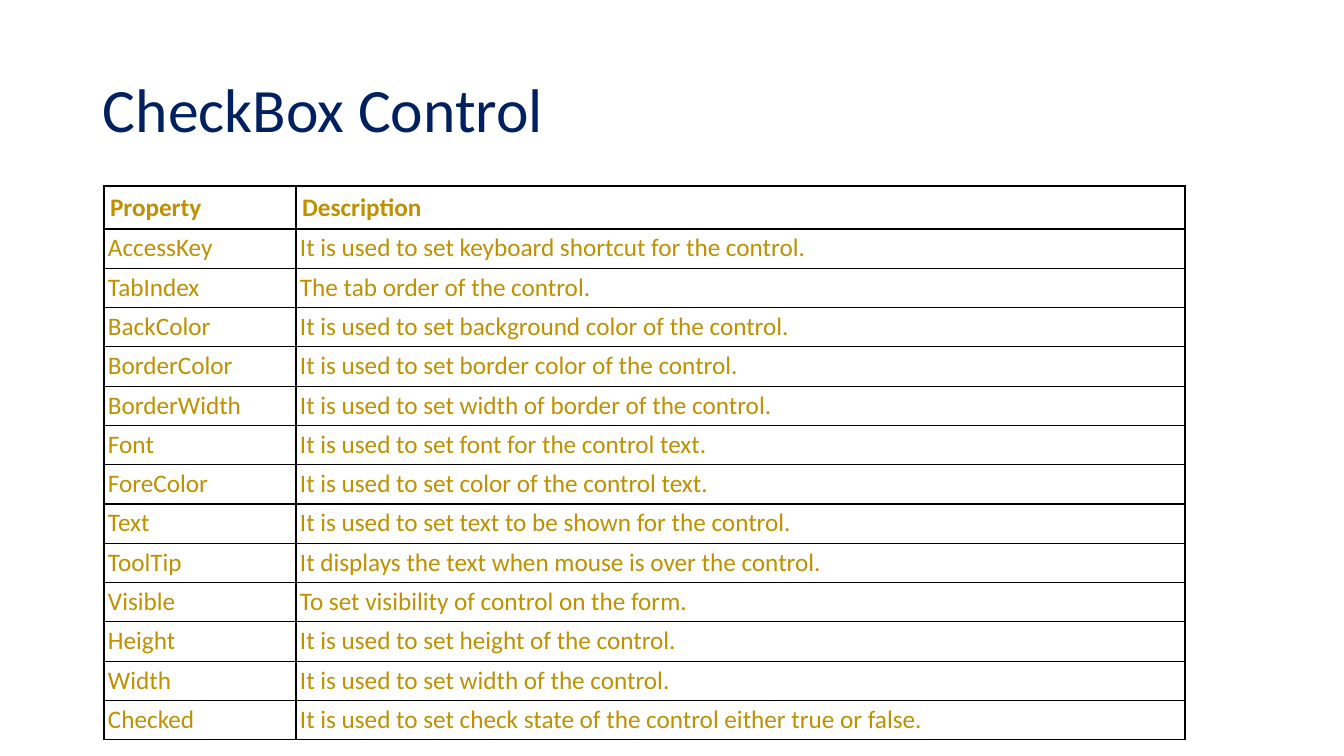
from lxml.etree import SubElement
from pptx import Presentation
from pptx.dml.color import RGBColor
from pptx.enum.text import MSO_ANCHOR, PP_ALIGN
from pptx.oxml.ns import qn
from pptx.util import Pt

# Content
TITLE = "CheckBox Control"
HEADER = ("Property", "Description")
PROPERTIES = [
    ("AccessKey", "It is used to set keyboard shortcut for the control."),
    ("TabIndex", "The tab order of the control."),
    ("BackColor", "It is used to set background color of the control."),
    ("BorderColor", "It is used to set border color of the control."),
    ("BorderWidth", "It is used to set width of border of the control."),
    ("Font", "It is used to set font for the control text."),
    ("ForeColor", "It is used to set color of the control text."),
    ("Text", "It is used to set text to be shown for the control."),
    ("ToolTip", "It displays the text when mouse is over the control."),
    ("Visible", "To set visibility of control on the form."),
    ("Height", "It is used to set height of the control."),
    ("Width", "It is used to set width of the control."),
    ("Checked", "It is used to set check state of the control either true or false."),
]

# Style and layout, in px
COLORS = {"title": "002060", "text": "BF9000", "border": "000000"}
FONT = "Calibri"
SLIDE_SIZE = (1344, 756)
TITLE_BOX = (93, 40, 1159, 146)
TABLE_LEFT, TABLE_TOP = 104, 186
COLUMN_WIDTHS = (192, 889)
HEADER_HEIGHT, BODY_HEIGHT = 43, 511
HEADER_INSET, BODY_INSET = 6, 4
EMU_PER_PX = 914400 / 100.8


def px(length):
    return round(length * EMU_PER_PX)


def style_text(para, size, color, bold=False):
    for span in para.runs:
        span.font.name = FONT
        span.font.size = Pt(size)
        span.font.bold = bold
        span.font.color.rgb = RGBColor.from_string(COLORS[color])


def add_borders(cell):
    properties = cell._tc.get_or_add_tcPr()
    for index, side in enumerate(("a:lnL", "a:lnR", "a:lnT", "a:lnB")):
        line = SubElement(properties, qn(side), w=str(Pt(1)))
        fill = SubElement(line, qn("a:solidFill"))
        SubElement(fill, qn("a:srgbClr"), val=COLORS["border"])
        properties.remove(line)
        properties.insert(index, line)


def fill_cell(cell, text, is_header):
    inset = px(HEADER_INSET if is_header else BODY_INSET)
    cell.margin_left = cell.margin_right = inset
    cell.margin_top = cell.margin_bottom = inset
    cell.text_frame.text = text
    para = cell.text_frame.paragraphs[0]
    para.alignment = PP_ALIGN.LEFT if is_header else PP_ALIGN.JUSTIFY
    style_text(para, 18, "text", bold=is_header)
    cell.fill.background()
    add_borders(cell)


def add_title(page):
    box = page.shapes.add_textbox(*map(px, TITLE_BOX))
    frame = box.text_frame
    frame.word_wrap = True
    frame.vertical_anchor = MSO_ANCHOR.MIDDLE
    frame.text = TITLE
    frame.paragraphs[0].line_spacing = 0.9
    style_text(frame.paragraphs[0], 44, "title")


def add_property_table(page):
    rows = [HEADER, *PROPERTIES]
    table = page.shapes.add_table(
        len(rows), len(HEADER), px(TABLE_LEFT), px(TABLE_TOP),
        px(sum(COLUMN_WIDTHS)), px(HEADER_HEIGHT + BODY_HEIGHT)).table
    table.horz_banding = False
    for column, width in zip(table.columns, COLUMN_WIDTHS):
        column.width = px(width)
    for r, texts in enumerate(rows):
        table.rows[r].height = px(BODY_HEIGHT / len(PROPERTIES) if r else HEADER_HEIGHT)
        for c, text in enumerate(texts):
            fill_cell(table.cell(r, c), text, is_header=r == 0)


def main():
    deck = Presentation()
    deck.slide_width, deck.slide_height = map(px, SLIDE_SIZE)
    page = deck.slides.add_slide(deck.slide_layouts[6])
    add_title(page)
    add_property_table(page)
    deck.save("out.pptx")


if __name__ == "__main__":
    main()
